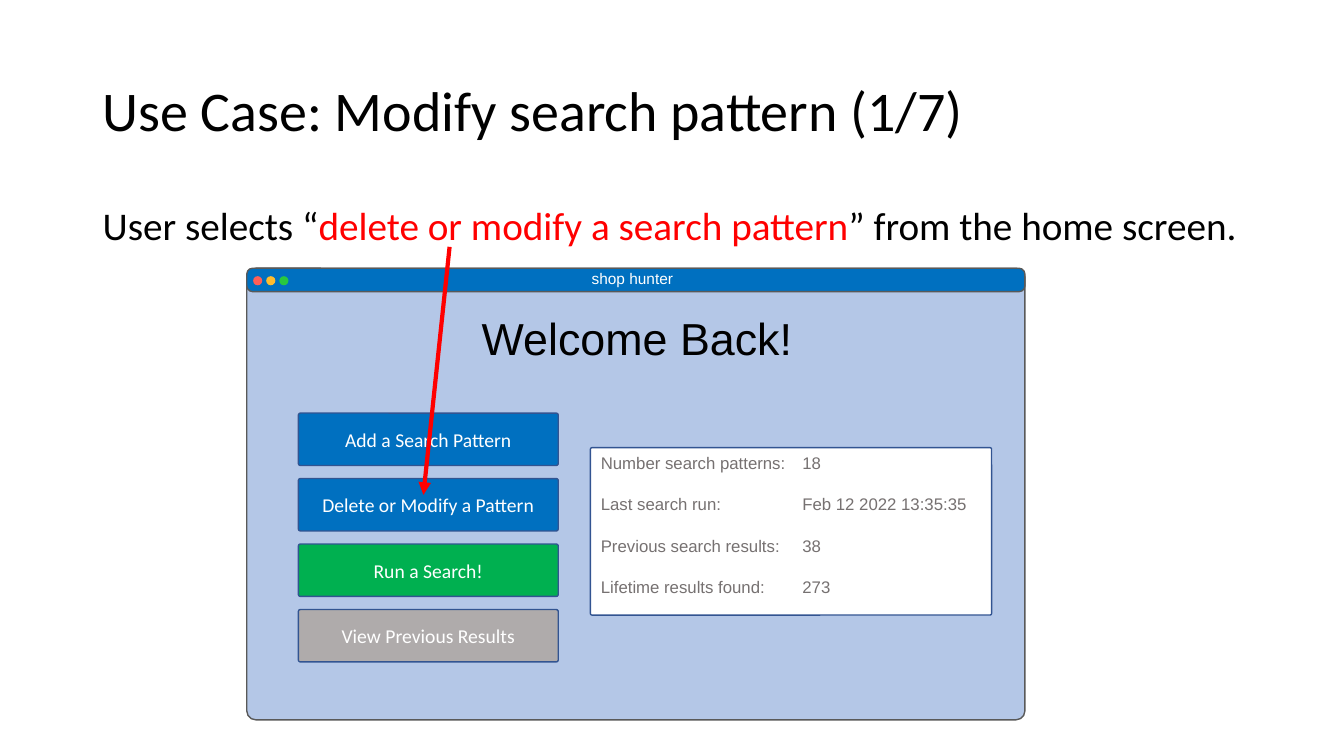
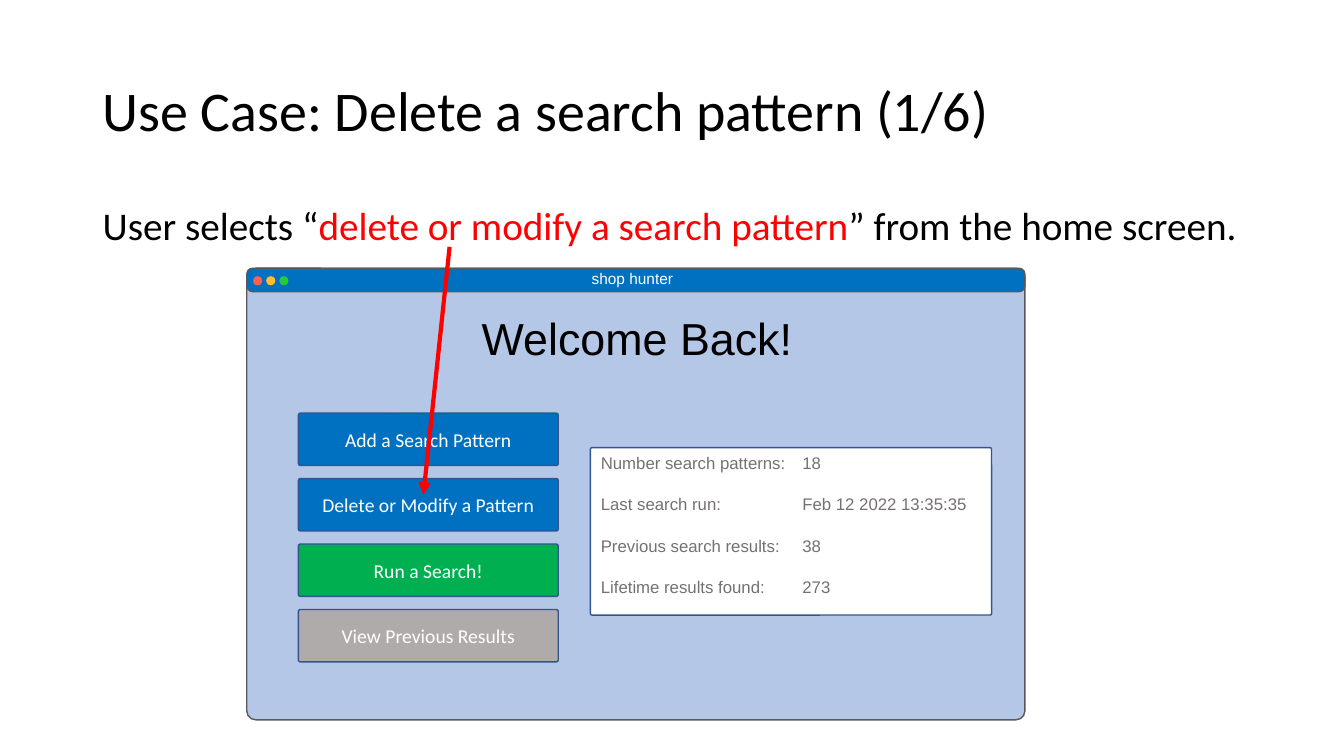
from dataclasses import dataclass
from typing import Any

from lxml import etree
from pptx import Presentation
from pptx.dml import color
from pptx.enum import shapes, text
from pptx.oxml import ns
from pptx.util import Cm, Emu, Pt

BLACK, WHITE, RED = "000000", "FFFFFF", "FF0000"
BLUE, GREEN, GREY = "0070C0", "00B050", "AFABAB"
WINDOW_FILL, WINDOW_LINE = "B4C7E7", "595959"
CONTROL_LINE, STATS_TEXT = "325491", "767171"
ROUNDED, OVAL = shapes.MSO_SHAPE.ROUNDED_RECTANGLE, shapes.MSO_SHAPE.OVAL


@dataclass(frozen=True)
class Box:
    left: float
    top: float
    width: float
    height: float

    def lengths(self) -> tuple[Emu, ...]:
        return tuple(Cm(v) for v in (self.left, self.top, self.width, self.height))


@dataclass(frozen=True)
class Style:
    font: str
    size: float
    color: str


@dataclass(frozen=True)
class Button:
    label: str
    fill: str


@dataclass(frozen=True)
class Stat:
    label: str
    value: str


TITLE_STYLE = Style("Calibri", 40, BLACK)
BODY_STYLE = Style("Calibri", 28, BLACK)
BUTTON_STYLE = Style("Calibri", 14, WHITE)
APP_NAME_STYLE = Style("Arial", 11, WHITE)
GREETING_STYLE = Style("Arial", 32, BLACK)
STATS_STYLE = Style("Arial", 12, STATS_TEXT)

TITLES = [
    "Use Case: Modify search pattern (1/7)",
    "Use Case: Delete a search pattern (1/6)",
]
DOT_COLORS = ["FF5F57", "FFBC2E", "28C840"]
BUTTONS = [
    Button("Add a Search Pattern", BLUE),
    Button("Delete or Modify a Pattern", BLUE),
    Button("Run a Search!", GREEN),
    Button("View Previous Results", GREY),
]
STATS = [
    Stat("Number search patterns:", "18"),
    Stat("Last search run:", "Feb 12 2022 13:35:35"),
    Stat("Previous search results:", "38"),
    Stat("Lifetime results found:", "273"),
]


def rgb(value: str) -> color.RGBColor:
    return color.RGBColor.from_string(value)


def add_paragraph(tf: Any, content: str, style: Style, first: bool = True) -> Any:
    """Write a left-aligned paragraph; the first one fills the frame's own paragraph."""
    p = tf.paragraphs[0] if first else tf.add_paragraph()
    p.alignment = text.PP_ALIGN.LEFT
    p.add_run().text = content
    apply_style(p, style)
    return p


def apply_style(p: Any, style: Style) -> None:
    for font in (p.font, *(r.font for r in p.runs)):
        font.name = style.font
        font.size = Pt(style.size)
        font.color.rgb = rgb(style.color)


def add_text(parent: Any, box: Box, content: str, style: Style, wrap: bool = False) -> Any:
    tf = parent.add_textbox(*box.lengths()).text_frame
    tf.word_wrap = wrap
    if not wrap:
        tf.auto_size = text.MSO_AUTO_SIZE.SHAPE_TO_FIT_TEXT
    add_paragraph(tf, content, style)
    return tf


def add_filled(parent: Any, kind: Any, box: Box, fill: str,
               line: str = "", rounding: float = 0) -> Any:
    sp = parent.add_shape(kind, *box.lengths())
    sp.shadow.inherit = False
    sp.fill.solid()
    sp.fill.fore_color.rgb = rgb(fill)
    if line:
        sp.line.color.rgb = rgb(line)
        sp.line.width = Pt(1)
    else:
        sp.line.fill.background()
    if kind == ROUNDED:
        sp.adjustments[0] = rounding
    return sp


def add_tab_stop(p: Any, position: Emu) -> None:
    tabs = etree.SubElement(p._p.get_or_add_pPr(), ns.qn("a:tabLst"))
    etree.SubElement(tabs, ns.qn("a:tab"), pos=str(int(position)), algn="l")
    p._p.pPr.insert(list(p._p.pPr).index(p._p.pPr.find(ns.qn("a:defRPr"))), tabs)


def add_button(parent: Any, box: Box, button: Button) -> None:
    sp = add_filled(parent, ROUNDED, box, button.fill, CONTROL_LINE, 0.04)
    p = add_paragraph(sp.text_frame, button.label, BUTTON_STYLE)
    p.alignment = text.PP_ALIGN.CENTER
    sp.text_frame.vertical_anchor = text.MSO_ANCHOR.MIDDLE


def add_stats(parent: Any) -> None:
    sp = add_filled(parent, ROUNDED, Box(14.88, 11.28, 10.11, 4.22),
                    WHITE, CONTROL_LINE, 0.01)
    tf = sp.text_frame
    tf.vertical_anchor = text.MSO_ANCHOR.TOP
    for i, stat in enumerate(STATS):
        p = add_paragraph(tf, f"{stat.label}\t{stat.value}", STATS_STYLE, first=i == 0)
        p.space_after = Pt(15)
        add_tab_stop(p, Cm(5.08))


def add_home_screen(slide: Any) -> None:
    """Draw the application window as one group."""
    window = slide.shapes.add_group_shape().shapes
    add_filled(window, ROUNDED, Box(6.22, 6.76, 19.61, 11.38),
               WINDOW_FILL, WINDOW_LINE, 0.02)
    add_filled(window, ROUNDED, Box(6.22, 6.76, 19.61, 0.59), BLUE, WINDOW_LINE, 0.25)
    for i, dot in enumerate(DOT_COLORS):
        add_filled(window, OVAL, Box(6.38 + 0.33 * i, 6.96, 0.23, 0.23), dot)
    add_text(window, Box(14.66, 6.65, 2.59, 0.74), "shop hunter", APP_NAME_STYLE)
    add_text(window, Box(11.89, 7.7, 8.41, 1.62), "Welcome Back!", GREETING_STYLE)
    for i, button in enumerate(BUTTONS):
        add_button(window, Box(7.52, 10.41 + 1.65 * i, 6.55, 1.32), button)
    add_stats(window)


def add_title(slide: Any, title: str) -> None:
    tf = add_text(slide.shapes, Box(2.34, 1.02, 29.21, 3.68), title, TITLE_STYLE, wrap=True)
    tf.vertical_anchor = text.MSO_ANCHOR.MIDDLE
    tf.paragraphs[0].line_spacing = 0.9


def add_instruction(slide: Any) -> None:
    tf = add_text(slide.shapes, Box(2.34, 5.08, 29.21, 1.45), "User selects “",
                  BODY_STYLE, wrap=True)
    p = tf.paragraphs[0]
    p.line_spacing = 0.9
    p.space_before = Pt(10)
    choice = p.add_run()
    choice.text = "delete or modify a search pattern"
    p.add_run().text = "” from the home screen."
    apply_style(p, BODY_STYLE)
    choice.font.color.rgb = rgb(RED)


def add_arrow(slide: Any) -> None:
    arrow = slide.shapes.add_connector(shapes.MSO_CONNECTOR.STRAIGHT,
                                       Cm(11.33), Cm(6.22), Cm(10.67), Cm(12.47))
    arrow.line.color.rgb = rgb(RED)
    arrow.line.width = Pt(3)
    etree.SubElement(arrow.line._get_or_add_ln(), ns.qn("a:tailEnd"), type="triangle")
    etree.SubElement(arrow._element.spPr, ns.qn("a:effectLst"))


def main() -> None:
    prs = Presentation()
    prs.slide_width, prs.slide_height = Cm(33.87), Cm(19.05)
    for title in TITLES:
        slide = prs.slides.add_slide(prs.slide_layouts[6])
        add_home_screen(slide)
        add_title(slide, title)
        add_instruction(slide)
        add_arrow(slide)
    prs.save("out.pptx")


if __name__ == "__main__":
    main()
